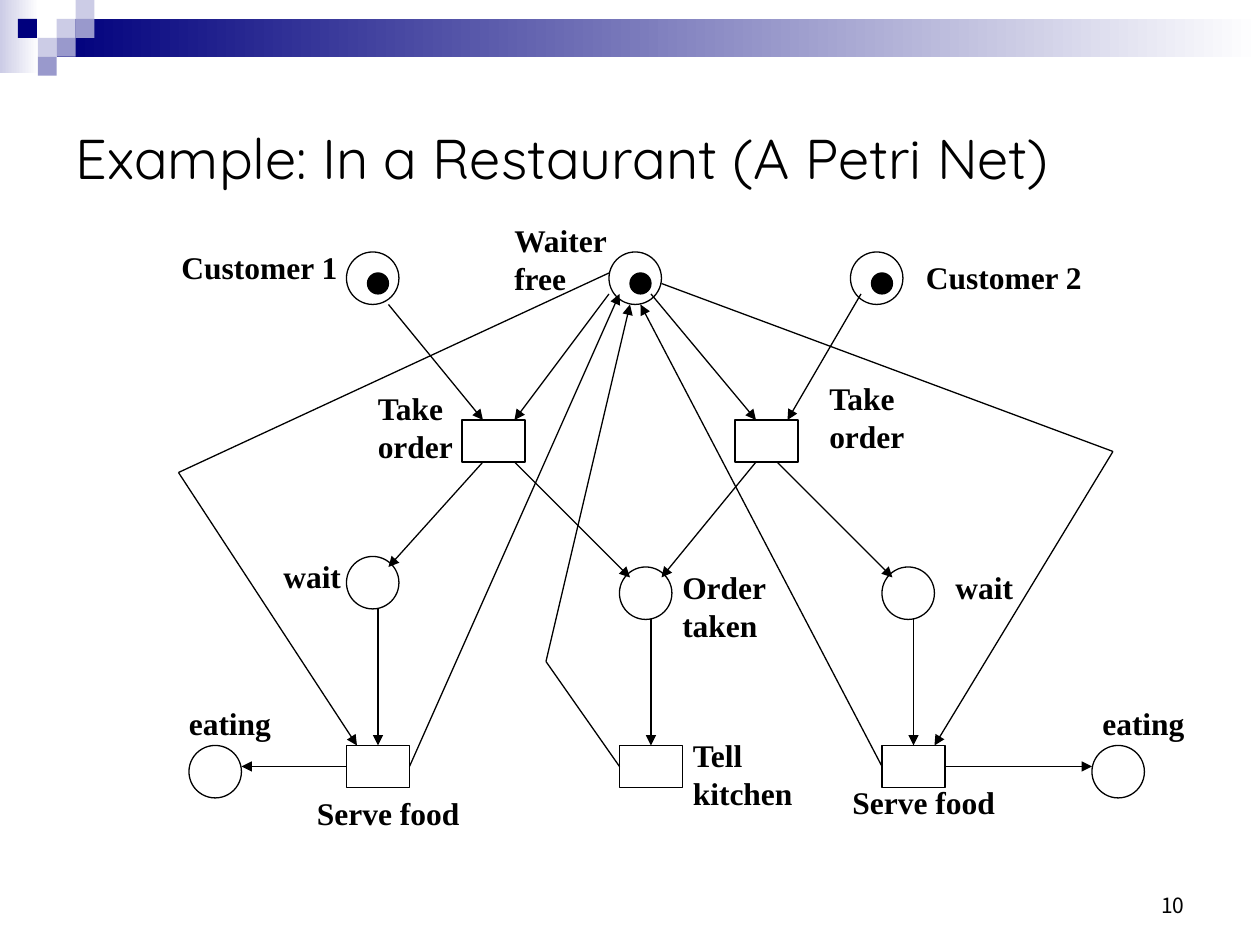
import itertools
import lxml.etree
import pptx
import pptx.dml.color
import pptx.enum.shapes
import pptx.enum.text
import pptx.oxml.ns
import pptx.util

Cm, Pt = pptx.util.Cm, pptx.util.Pt
RGB = pptx.dml.color.RGBColor.from_string
KIND = pptx.enum.shapes.MSO_SHAPE
ANCHOR = pptx.enum.text.MSO_ANCHOR
ALIGN = pptx.enum.text.PP_ALIGN
FIT = pptx.enum.text.MSO_AUTO_SIZE

THEME = {
    "ink": "000000", "navy": "00007D", "mid": "9999CC", "pale": "CCCCE6", "white": "FFFFFF",
    "line": 0.75,
    "title": {"name": "Quicksand", "size": Pt(32), "bold": False},
    "label": {"name": "Times New Roman", "size": Pt(18), "bold": True},
    "number": {"name": "Noto Sans CJK KR", "size": Pt(12), "bold": False},
}

# All places are in grid steps, twelve to the inch.
STEP = 2.54 / 12
PLACE, BOX, DOT = (5, 5), (6, 4), (2, 2)
TILE = 1.8

BANDS = [((0, 0, 3.7, 7), "pale"), ((5.4, 1.8, 114.6, 3.6), "navy")]
TILES = [(3, 1, "pale"), (4, 0, "pale"), (4, 1, "mid"), (2, 2, "pale"),
         (0.95, 1, "navy"), (3, 2, "mid"), (2, 3, "mid")]

MARKED = [(33, 24), (58, 24), (81, 24)]
EMPTY = [(33, 53), (59, 54), (84, 54), (18, 71), (104, 71)]
STEPS = [(44, 40), (70, 40), (33, 71), (59, 71), (84, 71)]

ARCS = [
    [(37, 29), (46, 40)], [(58, 28), (49, 40)], [(62, 28), (72, 40)], [(82, 28), (75, 40)],
    [(46, 44), (37, 54)], [(49, 44), (60, 55)], [(72, 44), (63, 55)], [(74, 44), (85, 55)],
    [(36, 58), (36, 71)], [(62, 59), (62, 71)], [(87, 59), (87, 71)],
    [(33, 73), (23, 73)], [(90, 73), (104, 73)],
    [(39, 73), (59, 28)], [(84, 73), (61, 29)],
    [(59, 73), (52, 63), (60, 29)],
    [(58, 26), (17, 45), (34, 71)],
    [(63, 27), (106, 43), (89, 71)],
]

LABELS = [
    ("Waiter\nfree", 47.8, 20.5, 11.5),
    ("Customer 1", 16.1, 23, 17.5), ("Customer 2", 87, 24, 17.5),
    ("Take\norder", 34.8, 36.5, 9.8), ("Take\norder", 77.8, 35.5, 9.8),
    ("Order\ntaken", 63.8, 53.5, 10.7), ("Tell\nkitchen", 64.8, 69.5, 12.1),
    ("wait", 25.8, 52.5, 8.1), ("wait", 89.8, 53.5, 8.1),
    ("Serve food", 29, 75, 16.3), ("Serve food", 80, 74, 16.3),
    ("eating", 16.8, 66.5, 10.4), ("eating", 103.8, 66.5, 10.4),
]


def grid(*steps):
    return [Cm(step * STEP) for step in steps]


def assign(target, values):
    for name, value in values.items():
        setattr(target, name, value)


def add_shape(slide, kind, area, fill=None, fade=False, line=True):
    shape = slide.shapes.add_shape(kind, *grid(*area))
    shape.shadow.inherit = False
    if fade:
        shape.fill.gradient()
        shape.fill.gradient_angle = 0
        for stop, tone in zip(shape.fill.gradient_stops, (fill, "white")):
            stop.color.rgb = RGB(THEME[tone])
    elif fill:
        shape.fill.solid()
        shape.fill.fore_color.rgb = RGB(THEME[fill])
    else:
        shape.fill.background()
    if line:
        shape.line.color.rgb = RGB(THEME["ink"])
        shape.line.width = Pt(THEME["line"])
    else:
        shape.line.fill.background()
    return shape


def add_text(slide, text, area, style, frame, align=ALIGN.LEFT):
    box = slide.shapes.add_textbox(*grid(*area)).text_frame
    box.text = text
    assign(box, frame)
    for para in box.paragraphs:
        para.alignment = align
        assign(para.font, THEME[style])
        para.font.color.rgb = RGB(THEME["ink"])


def add_arc(slide, points, sites):
    """Draw the legs of an arc, with an arrowhead on the last one."""
    for start, end in itertools.pairwise(points):
        leg = slide.shapes.add_connector(
            pptx.enum.shapes.MSO_CONNECTOR.STRAIGHT, *grid(*start, *end))
        leg.line.color.rgb = RGB(THEME["ink"])
        leg.line.width = Pt(THEME["line"])
        if end == points[-1]:
            lxml.etree.SubElement(leg.line._get_or_add_ln(),
                                  pptx.oxml.ns.qn("a:tailEnd"), type="triangle")
        lxml.etree.SubElement(leg._element.spPr, pptx.oxml.ns.qn("a:effectLst"))
        if start in sites:
            leg.begin_connect(*sites[start])
        if end in sites:
            leg.end_connect(*sites[end])


def main():
    deck = pptx.Presentation()
    deck.slide_width, deck.slide_height = Cm(25.4), Cm(19.05)
    slide = deck.slides.add_slide(deck.slide_layouts[6])

    for area, tone in BANDS:
        add_shape(slide, KIND.RECTANGLE, area, tone, fade=True, line=False)
    for col, row, tone in TILES:
        area = (col * TILE, row * TILE, TILE, TILE)
        add_shape(slide, KIND.RECTANGLE, area, tone, line=False)

    add_text(slide, "Example: In a Restaurant (A Petri Net)", (6, 6, 108, 18), "title",
             {"word_wrap": True, "vertical_anchor": ANCHOR.MIDDLE})
    add_text(slide, "10", (86, 82, 28, 6), "number",
             {"word_wrap": True, "vertical_anchor": ANCHOR.BOTTOM}, ALIGN.RIGHT)

    for spot in MARKED + EMPTY:
        add_shape(slide, KIND.OVAL, spot + PLACE)
    sites = {}
    wide, high = BOX
    for x, y in STEPS:
        box = add_shape(slide, KIND.RECTANGLE, (x, y) + BOX)
        sites[x + wide / 2, y] = box, 0
        sites[x, y + high / 2] = box, 1
        sites[x + wide / 2, y + high] = box, 2
        sites[x + wide, y + high / 2] = box, 3

    for points in ARCS:
        add_arc(slide, points, sites)
    for text, x, y, width in LABELS:
        height = 4.8 + 3.6 * text.count("\n")
        add_text(slide, text, (x, y, width, height), "label",
                 {"word_wrap": False, "auto_size": FIT.SHAPE_TO_FIT_TEXT})
    for x, y in MARKED:
        add_shape(slide, KIND.OVAL, (x + 2, y + 2) + DOT, "ink")

    deck.save("out.pptx")


if __name__ == "__main__":
    main()
